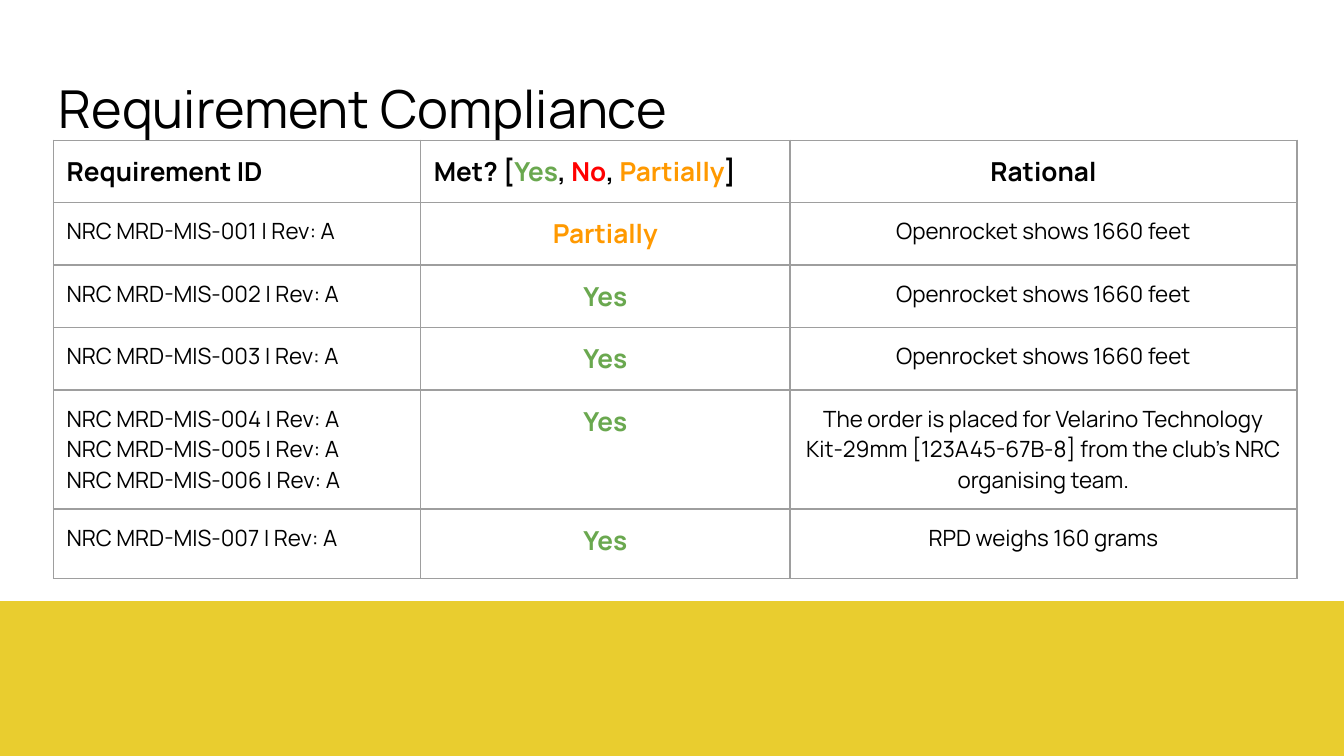
from lxml import etree
from pptx import Presentation
from pptx import util as u
from pptx.dml.color import RGBColor
from pptx.enum import shapes, text
from pptx.oxml import ns

FONT = "Manrope"
COLORS = {
    "text": "000000",
    "band": "E9CD2F",
    "border": "9E9E9E",
    "Yes": "6AA84F",
    "No": "FF0000",
    "Partially": "FF9900",
}
COLUMN_WIDTHS = [6.94, 6.98, 9.58]
ROW_HEIGHTS = [1.18, 1.18, 1.18, 1.18, 2.25, 1.32]
HEADER_STATUS = ["Met? [", "Yes", ", ", "No", ", ", "Partially", "]"]
ALTITUDE = "Openrocket shows 1660 feet"
REQUIREMENTS = [
    ([1], "Partially", ALTITUDE),
    ([2], "Yes", ALTITUDE),
    ([3], "Yes", ALTITUDE),
    ([4, 5, 6], "Yes", "The order is placed for Velarino Technology "
     "Kit-29mm [123A45-67B-8] from the club’s NRC organising team."),
    ([7], "Yes", "RPD weighs 160 grams"),
]


def color(name):
    return RGBColor.from_string(COLORS[name])


def style_span(span, size, bold=False):
    span.font.name = FONT
    span.font.size = u.Pt(size)
    span.font.bold = bold
    span.font.color.rgb = color(span.text if span.text in COLORS else "text")


def set_insets(item):
    item.margin_left = item.margin_right = u.Cm(0.25)
    item.margin_top = item.margin_bottom = u.Cm(0.25)


def add_band(page):
    band = page.shapes.add_shape(shapes.MSO_SHAPE.RECTANGLE,
                                 u.Cm(-0.02), u.Cm(11.37), u.Cm(25.43), u.Cm(2.92))
    band.shadow.inherit = False
    band.fill.solid()
    band.fill.fore_color.rgb = color("band")
    band.line.color.rgb = color("band")
    band.line.width = u.Pt(0.75)


def add_title(page, words):
    box = page.shapes.add_textbox(u.Cm(0.86), u.Cm(1.24), u.Cm(23.67), u.Cm(1.6))
    frame = box.text_frame
    frame.word_wrap = True
    frame.vertical_anchor = text.MSO_ANCHOR.MIDDLE
    set_insets(frame)
    frame.text = words
    style_span(frame.paragraphs[0].runs[0], 28)


def add_borders(cell):
    properties = cell._tc.get_or_add_tcPr()
    for position, side in enumerate(["lnL", "lnR", "lnT", "lnB"]):
        line = etree.Element(ns.qn(f"a:{side}"), w=str(u.Pt(0.75)))
        fill = etree.SubElement(line, ns.qn("a:solidFill"))
        etree.SubElement(fill, ns.qn("a:srgbClr"), val=COLORS["border"])
        properties.insert(position, line)


def fill_cell(cell, lines, size, bold=False, centered=False):
    set_insets(cell)
    cell.fill.background()
    add_borders(cell)
    frame = cell.text_frame
    for index, spans in enumerate(lines):
        para = frame.add_paragraph() if index else frame.paragraphs[0]
        para.alignment = text.PP_ALIGN.CENTER if centered else text.PP_ALIGN.LEFT
        for words in spans:
            span = para.add_run()
            span.text = words
            style_span(span, size, bold)


def add_requirements(page):
    frame = page.shapes.add_table(len(ROW_HEIGHTS), len(COLUMN_WIDTHS),
                                  u.Cm(1.01), u.Cm(2.65),
                                  u.Cm(sum(COLUMN_WIDTHS)), u.Cm(sum(ROW_HEIGHTS)))
    table = frame.table
    table.first_row = table.horz_banding = False
    for column, width in zip(table.columns, COLUMN_WIDTHS):
        column.width = u.Cm(width)
    for row, height in zip(table.rows, ROW_HEIGHTS):
        row.height = u.Cm(height)

    fill_cell(table.cell(0, 0), [["Requirement ID"]], 14, bold=True)
    fill_cell(table.cell(0, 1), [HEADER_STATUS], 14, bold=True)
    fill_cell(table.cell(0, 2), [["Rational"]], 14, bold=True, centered=True)
    for row, (numbers, status, reason) in enumerate(REQUIREMENTS, start=1):
        names = [[f"NRC MRD-MIS-{number:03d} | Rev: A"] for number in numbers]
        fill_cell(table.cell(row, 0), names, 12)
        fill_cell(table.cell(row, 1), [[status]], 14, bold=True, centered=True)
        fill_cell(table.cell(row, 2), [[reason]], 12, centered=True)


def main():
    deck = Presentation()
    deck.slide_width = u.Cm(25.4)
    deck.slide_height = u.Cm(14.29)
    page = deck.slides.add_slide(deck.slide_layouts[6])
    add_band(page)
    add_title(page, "Requirement Compliance")
    add_requirements(page)
    deck.save("out.pptx")


if __name__ == "__main__":
    main()
